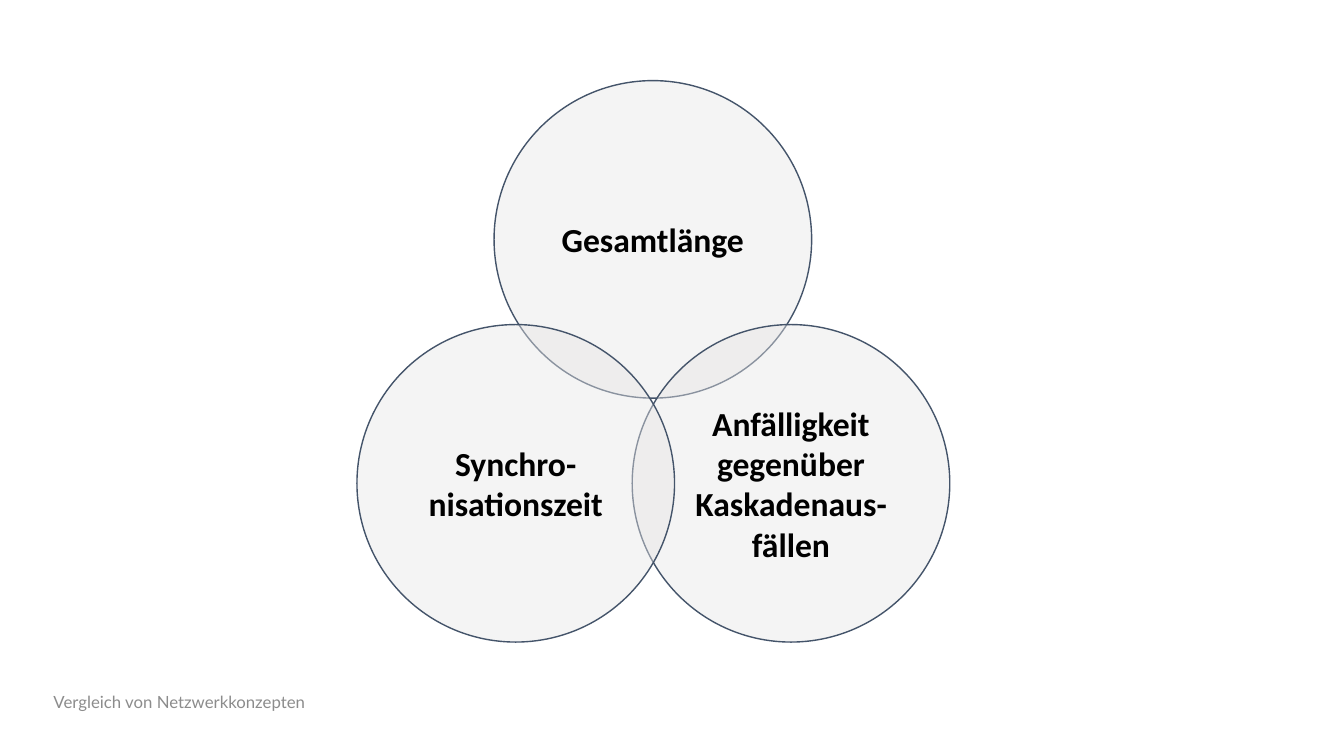
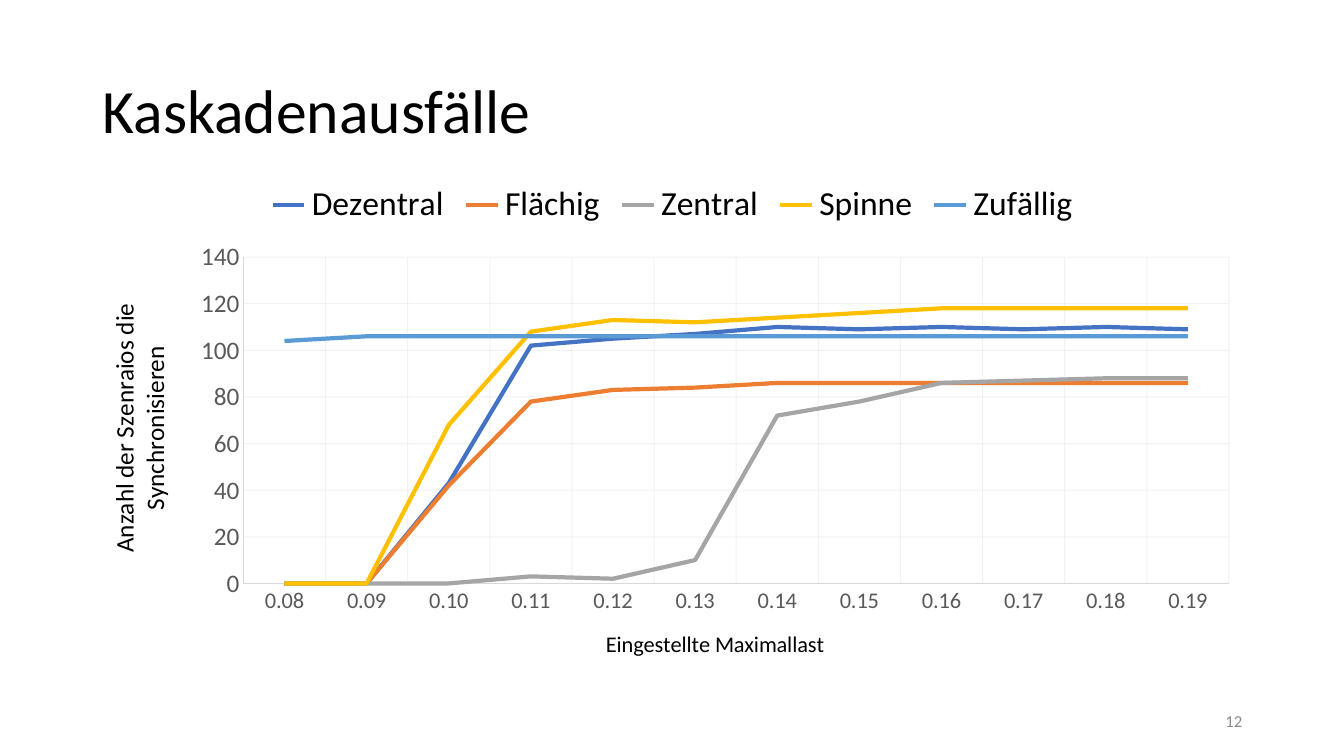
"""Build two slides comparing network concepts: a Venn diagram and a line chart."""
from lxml import etree
from pptx import Presentation
from pptx.chart.data import CategoryChartData
from pptx.dml.color import RGBColor
from pptx.enum.chart import XL_CHART_TYPE, XL_LEGEND_POSITION, XL_TICK_MARK
from pptx.enum.shapes import MSO_SHAPE
from pptx.enum.text import MSO_ANCHOR, MSO_AUTO_SIZE, PP_ALIGN
from pptx.oxml.ns import qn
from pptx.util import Inches, Pt

LINE_CHART = XL_CHART_TYPE.LINE
LEGEND_TOP = XL_LEGEND_POSITION.TOP
NO_TICK = XL_TICK_MARK.NONE
OVAL = MSO_SHAPE.OVAL
MIDDLE = MSO_ANCHOR.MIDDLE
NO_FIT = MSO_AUTO_SIZE.NONE
LEFT, CENTER, RIGHT = PP_ALIGN.LEFT, PP_ALIGN.CENTER, PP_ALIGN.RIGHT

COLORS = {
    "text": "000000", "muted": "8C8C8C", "axis": "595959", "grid": "D9D9D9",
    "circle": "E7E6E6", "outline": "44546A",
}
BODY_FONT, FOOTER_FONT = "Calibri", "Lato"
TITLE_ONLY, BLANK = 5, 6

CIRCLE_SIZE = 3.15
CIRCLES = [
    ("Gesamtlänge", 4.9, 0.8),
    ("Anfälligkeit gegenüber Kaskadenaus-fällen", 6.27, 3.22),
    ("Synchro-nisationszeit", 3.54, 3.22),
]
FOOTER = ("Vergleich von Netzwerkkonzepten", (0.25, 6.76, 3.06, 0.4))
PAGE_NUMBER = ("12", (9.42, 6.95, 3, 0.4))
TITLE = ("Kaskadenausfälle", (0.92, 0.4, 11.5, 1.45))

CHART_AREA = (0.92, 1.69, 11.5, 5.06)
PLOT_LAYOUT = {"x": 0.13, "y": 0.17, "w": 0.85, "h": 0.64}
CATEGORIES = [f"{step / 100:.2f}" for step in range(8, 20)]
SERIES = [
    ("Dezentral", "4472C4", [0, 0, 43, 102, 105, 107, 110, 109, 110, 109, 110, 109]),
    ("Flächig", "ED7D31", [0, 0, 42, 78, 83, 84, 86, 86, 86, 86, 86, 86]),
    ("Zentral", "A5A5A5", [0, 0, 0, 3, 2, 10, 72, 78, 86, 87, 88, 88]),
    ("Spinne", "FFC000", [0, 0, 68, 108, 113, 112, 114, 116, 118, 118, 118, 118]),
    ("Zufällig", "5B9BD5", [104] + [106] * 11),
]
AXIS_TITLES = {
    "category_axis": ("Eingestellte Maximallast", 16),
    "value_axis": ("Anzahl der Szenraios die Synchronisieren", 18),
}
VALUE_SCALE = {"minimum_scale": 0, "maximum_scale": 140, "major_unit": 20}


def inches(values):
    return [Inches(value) for value in values]


def style_font(font, size, color="text", name=BODY_FONT, bold=False):
    values = {"size": Pt(size), "name": name, "bold": bold}
    for attribute, value in values.items():
        setattr(font, attribute, value)
    font.color.rgb = RGBColor.from_string(COLORS[color])


def style_line(line, color, width):
    line.color.rgb = RGBColor.from_string(color)
    line.width = Pt(width)


def set_opacity(parent, percent):
    color = next(parent.iter(qn("a:srgbClr")))
    etree.SubElement(color, qn("a:alpha"), val=str(percent * 1000))


def write_text(shape, text, align, size, **style):
    frame = shape.text_frame
    frame.text = text
    values = {"word_wrap": True, "auto_size": NO_FIT, "vertical_anchor": MIDDLE}
    for attribute, value in values.items():
        setattr(frame, attribute, value)
    para = frame.paragraphs[0]
    para.alignment = align
    style_font(para.runs[0].font, size, **style)
    return para


def add_note(page, note, align, font):
    text, area = note
    box = page.shapes.add_textbox(*inches(area))
    write_text(box, text, align, 12, color="muted", name=font)


def add_circle(page, text, left, top):
    circle = page.shapes.add_shape(OVAL, *inches((left, top, CIRCLE_SIZE, CIRCLE_SIZE)))
    circle.shadow.inherit = False
    circle.fill.solid()
    circle.fill.fore_color.rgb = RGBColor.from_string(COLORS["circle"])
    set_opacity(circle.element.spPr.find(qn("a:solidFill")), 43)
    style_line(circle.line, COLORS["outline"], 1)
    write_text(circle, text, CENTER, 24, bold=True)


def add_title(page):
    text, area = TITLE
    title = page.shapes.title
    title.left, title.top, title.width, title.height = inches(area)
    write_text(title, text, LEFT, 44).line_spacing = 0.9


def style_axis(axis, text, size):
    axis.major_tick_mark = axis.minor_tick_mark = NO_TICK
    style_font(axis.tick_labels.font, size, "axis")
    style_line(axis.format.line, COLORS["grid"], 0.25)
    axis.has_major_gridlines = True
    style_line(axis.major_gridlines.format.line, COLORS["grid"], 0.75)
    frame = axis.axis_title.text_frame
    frame.text = text
    style_font(frame.paragraphs[0].runs[0].font, size)


def place_plot(chart):
    plot_area = next(chart.element.iter(qn("c:plotArea")))
    for old in plot_area.findall(qn("c:layout")):
        plot_area.remove(old)
    layout = etree.Element(qn("c:layout"))
    plot_area.insert(0, layout)
    manual = etree.SubElement(layout, qn("c:manualLayout"))
    settings = {"layoutTarget": "inner", "xMode": "edge", "yMode": "edge", **PLOT_LAYOUT}
    for tag, value in settings.items():
        etree.SubElement(manual, qn(f"c:{tag}"), val=str(value))


def add_line_chart(page):
    data = CategoryChartData()
    data.categories = CATEGORIES
    for name, _, values in SERIES:
        data.add_series(name, values)
    chart = page.shapes.add_chart(LINE_CHART, *inches(CHART_AREA), data).chart
    style_font(chart.font, 10)
    chart.has_title = False
    chart.has_legend = True
    chart.legend.position = LEGEND_TOP
    chart.legend.include_in_layout = False
    style_font(chart.legend.font, 24)
    plot = chart.plots[0]
    plot.vary_by_categories = False
    for series, (_, color, _) in zip(plot.series, SERIES):
        series.smooth = False
        style_line(series.format.line, color, 3)
    for axis_name, (text, size) in AXIS_TITLES.items():
        style_axis(getattr(chart, axis_name), text, size)
    for attribute, value in VALUE_SCALE.items():
        setattr(chart.value_axis, attribute, value)
    for gridlines in chart.element.iter(qn("c:majorGridlines")):
        set_opacity(gridlines, 32)
    place_plot(chart)


def main():
    deck = Presentation()
    deck.slide_width, deck.slide_height = inches((13.33, 7.5))

    venn_page = deck.slides.add_slide(deck.slide_layouts[BLANK])
    add_note(venn_page, FOOTER, CENTER, FOOTER_FONT)
    for circle in CIRCLES:
        add_circle(venn_page, *circle)

    chart_page = deck.slides.add_slide(deck.slide_layouts[TITLE_ONLY])
    add_title(chart_page)
    add_line_chart(chart_page)
    add_note(chart_page, PAGE_NUMBER, RIGHT, BODY_FONT)

    deck.save("out.pptx")


if __name__ == "__main__":
    main()
